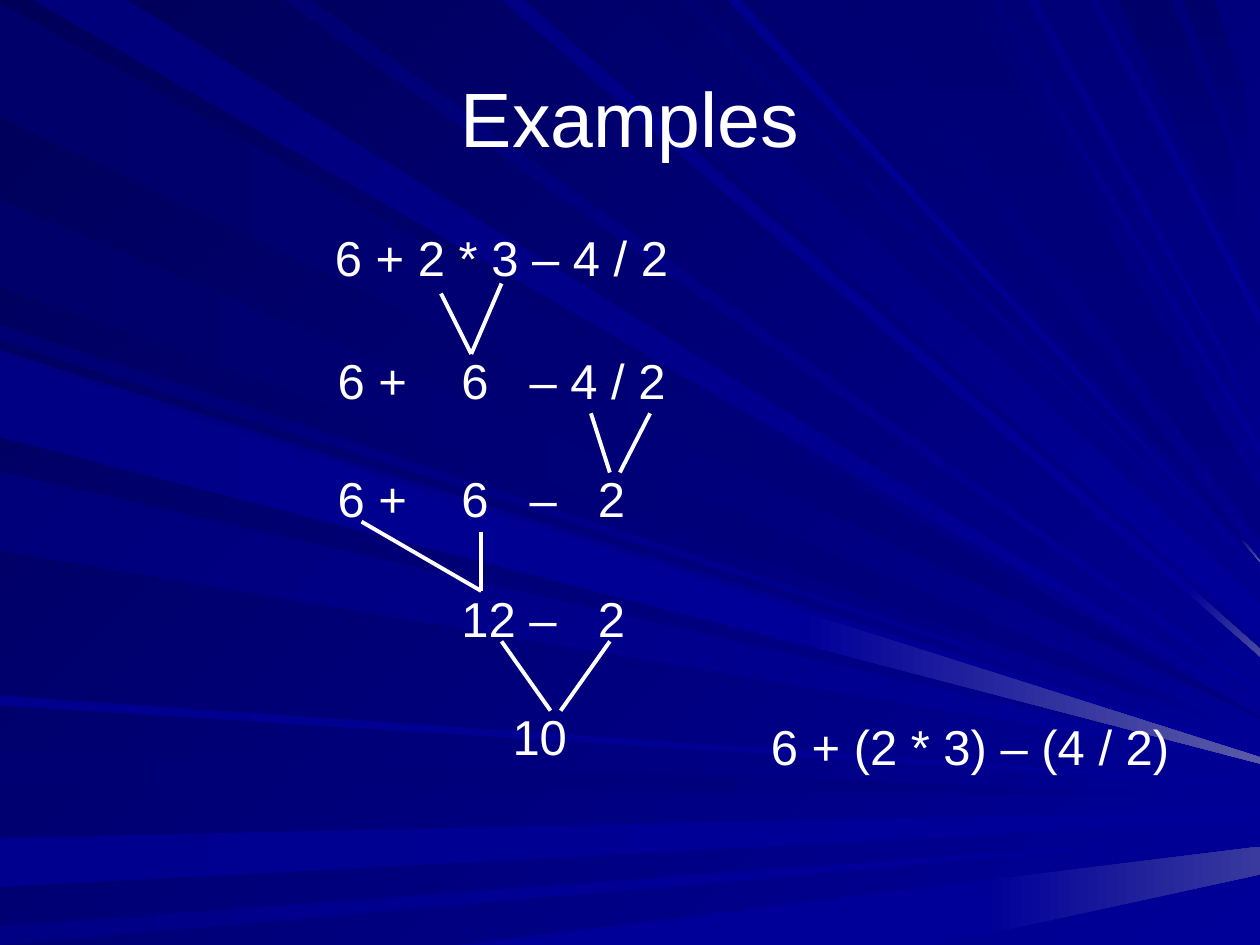
"""Build the Examples slide: an expression reduced step by step over blue light rays."""
from pptx import Presentation
from pptx.dml.color import RGBColor
from pptx.enum.shapes import MSO_CONNECTOR
from pptx.enum.text import MSO_ANCHOR, MSO_AUTO_SIZE, PP_ALIGN
from pptx.oxml.xmlchemy import OxmlElement
from pptx.util import Pt

STRAIGHT = MSO_CONNECTOR.STRAIGHT
MIDDLE = MSO_ANCHOR.MIDDLE
NO_AUTOFIT = MSO_AUTO_SIZE.NONE
LEFT, CENTER = PP_ALIGN.LEFT, PP_ALIGN.CENTER

WHITE = RGBColor.from_string("FFFFFF")
MIDNIGHT = RGBColor.from_string("000058")
DEEP = RGBColor.from_string("00006B")
DARK = RGBColor.from_string("000073")
MEDIUM = RGBColor.from_string("00007B")
NAVY = RGBColor.from_string("000080")
SOFT = RGBColor.from_string("000085")
LIGHT = RGBColor.from_string("00008E")
BLUE = RGBColor.from_string("000099")
DIM_TIP = RGBColor.from_string("39399E")
MID_TIP = RGBColor.from_string("4A4AA1")
BRIGHT_TIP = RGBColor.from_string("5A5AA6")

FONT = "Arial"
RAY_UNIT = Pt(0.72)
RIGHT_EDGE, BOTTOM_EDGE = 1000, 750
TAB_STOPS = [70.8, 109.7, 148.7]

# edge, start span, right-edge span, split, colors, angle
RAYS = [
    ("left", (2, 93), (569, 570), None, (DEEP, NAVY), 0),
    ("top", (26, 101), (563, 562), None, (MEDIUM, BLUE), 45),
    ("left", (596, 623), (631, 632), 701, (DARK, NAVY, BLUE), 0),
    ("left", (665, 704), (643, 651), 831, (LIGHT, BLUE, BLUE), 0),
    ("left", (735, 750), (662, 662), 628, (SOFT, BLUE, BLUE), 0),
    ("bottom", (364, 742), (672, 694), 780, (BLUE, BLUE, DIM_TIP), 0),
    ("left", (258, 270), (589, 589), 873, (DARK, BLUE, BLUE), 45),
    ("left", (159, 228), (584, 585), 873, (DEEP, NAVY, BLUE), 0),
    ("top", (398, 416), (521, 515), 945, (SOFT, BLUE, MID_TIP), 45),
    ("top", (426, 492), (507, 479), 960, (DEEP, BLUE, BLUE), 45),
    ("top", (540, 552), (463, 463), None, (DARK, BLUE), 45),
    ("top", (606, 661), (446, 445), 986, (DARK, NAVY, BRIGHT_TIP), 90),
    ("top", (887, 930), (237, 183), 980, (DEEP, NAVY, NAVY), 90),
    ("top", (939, 964), (167, 114), 990, (DEEP, NAVY, NAVY), 90),
    ("left", (278, 342), (596, 602), None, (NAVY, BLUE), 45),
    ("left", (374, 437), (605, 606), None, (MEDIUM, BLUE), 45),
    ("left", (552, 560), (621, 623), None, (LIGHT, BLUE), 0),
    ("top", (225, 247), (552, 547), None, (DARK, BLUE), 45),
    ("top", (577, 588), (454, 453), None, (LIGHT, BLUE), 45),
    ("top", (686, 770), (428, 390), None, (DARK, NAVY), 90),
    ("top", (785, 792), (360, 354), None, (MEDIUM, BLUE), 45),
    ("top", (815, 824), (336, 335), None, (SOFT, BLUE), 45),
    ("top", (865, 872), (258, 249), None, (SOFT, BLUE), 45),
    ("left", (283, 347), (601, 606), 635, (SOFT, BLUE, BRIGHT_TIP), 0),
]

EXPRESSIONS = [
    ("6 + 2 * 3 – 4 / 2", 184.3, 126.7, 207),
    ("6 +\t6\t– 4 / 2", 185.8, 196.6, 204),
    ("6 +\t6\t–\t2", 185.8, 264.2, 181),
    ("\t12 –\t2", 185.8, 332.6, 180),
    ("6 + (2 * 3) – (4 / 2)", 433.4, 406.1, 245),
    ("10", 285.8, 400.3, 48),
]

BRANCHES = [
    ((252, 167.8), (269.3, 202.3)),
    ((286.6, 162), (269.3, 202.3)),
    ((337.7, 236.2), (348.5, 270)),
    ((371.5, 236.2), (354.2, 270)),
    ((206.6, 298.1), (275, 337.7)),
    ((275, 303.8), (275, 337.7)),
    ((286.6, 366.5), (314.6, 406.1)),
    ((348.5, 366.5), (320.4, 406.1)),
]


def write_text(shape, text, size, alignment=LEFT, tab_stops=()):
    text_frame = shape.text_frame
    text_frame.word_wrap = True
    text_frame.auto_size = NO_AUTOFIT
    paragraph = text_frame.paragraphs[0]
    paragraph.alignment = alignment
    if tab_stops:
        tab_list = OxmlElement("a:tabLst")
        for position in tab_stops:
            tab = OxmlElement("a:tab")
            tab.set("pos", str(Pt(position)))
            tab.set("algn", "l")
            tab_list.append(tab)
        paragraph._p.get_or_add_pPr().append(tab_list)
    run = paragraph.add_run()
    run.text = text
    run.font.name = FONT
    run.font.size = Pt(size)
    run.font.color.rgb = WHITE


def fill_gradient(fill, start, end, angle):
    fill.gradient()
    fill.gradient_angle = (360 - angle) % 360
    for stop, color in zip(fill.gradient_stops, (start, end)):
        stop.color.rgb = color


presentation = Presentation()
presentation.slide_width = Pt(720)
presentation.slide_height = Pt(540)
slide = presentation.slides.add_slide(presentation.slide_layouts[5])
fill_gradient(slide.background.fill, MIDNIGHT, BLUE, 45)

for edge, span, tip_span, split, colors, angle in RAYS:
    if edge == "left":
        starts = [(0, y) for y in span]
    else:
        starts = [(x, 0 if edge == "top" else BOTTOM_EDGE) for x in span]
    sections = [starts, [(RIGHT_EDGE, y) for y in tip_span]]
    if split:
        middle = [
            (split, y + (tip - y) * (split - x) / (RIGHT_EDGE - x))
            for (x, y), tip in zip(starts, tip_span)
        ]
        sections.insert(1, middle)
    for near, far, start, end in zip(sections, sections[1:], colors, colors[1:]):
        builder = slide.shapes.build_freeform(*near[0], scale=RAY_UNIT)
        builder.add_line_segments([near[1], far[1], far[0]], close=True)
        ray = builder.convert_to_shape()
        ray.shadow.inherit = False
        ray.line.fill.background()
        if start == end:
            ray.fill.solid()
            ray.fill.fore_color.rgb = end
        else:
            fill_gradient(ray.fill, start, end, angle)

title = slide.shapes.title
title.left, title.top, title.width, title.height = Pt(36), Pt(21.6), Pt(648), Pt(90)
title.text_frame.vertical_anchor = MIDDLE
write_text(title, "Examples", 44, alignment=CENTER)
slide.shapes._spTree.append(title._element)

for text, left, top, width in EXPRESSIONS:
    text_box = slide.shapes.add_textbox(Pt(left), Pt(top), Pt(width), Pt(41))
    write_text(text_box, text, 28, tab_stops=TAB_STOPS if "\t" in text else ())

for (start_x, start_y), (end_x, end_y) in BRANCHES:
    branch = slide.shapes.add_connector(STRAIGHT, Pt(start_x), Pt(start_y), Pt(end_x), Pt(end_y))
    branch.line.color.rgb = WHITE
    branch.line.width = Pt(2.25)
    branch._element.spPr.append(OxmlElement("a:effectLst"))

presentation.save("out.pptx")
